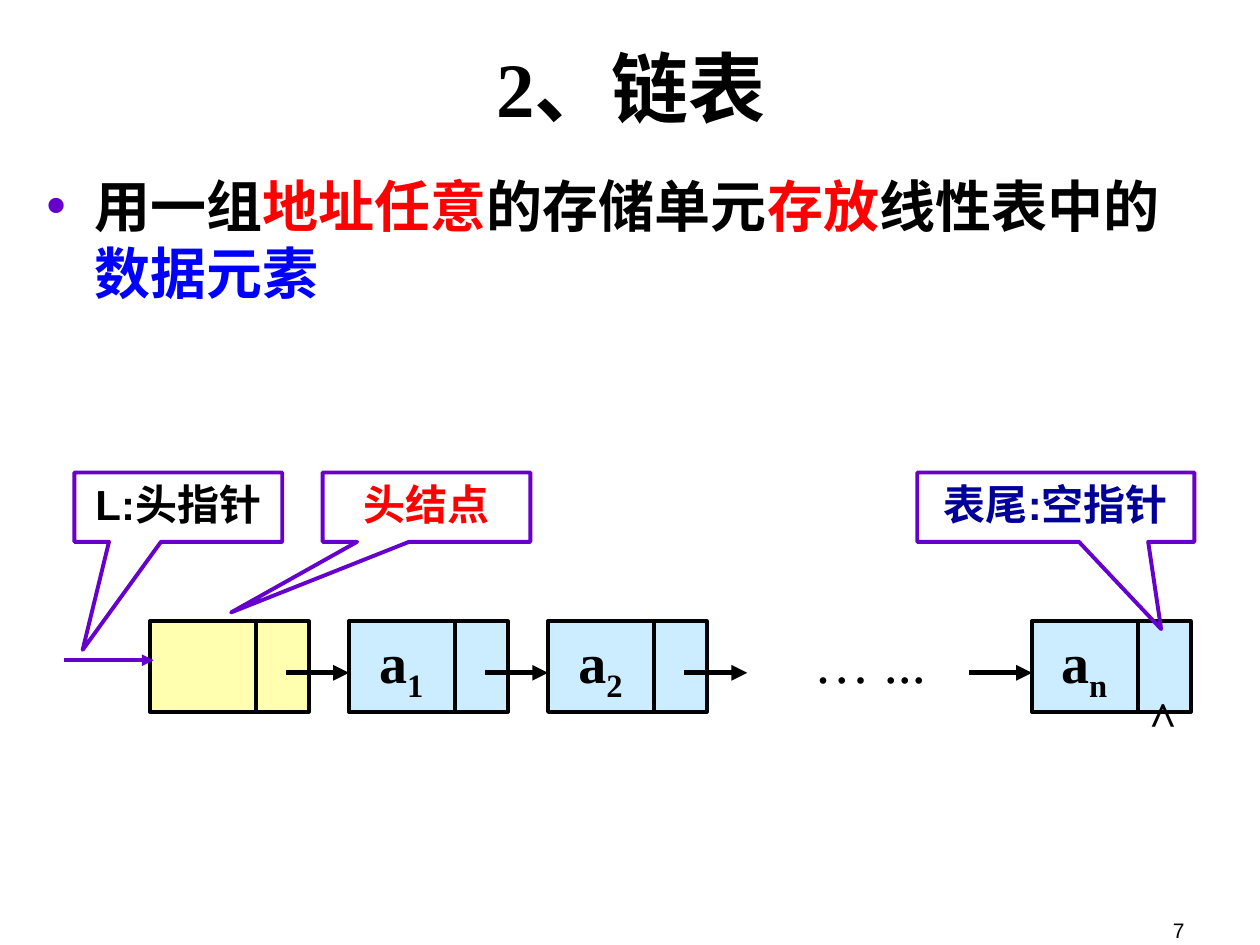
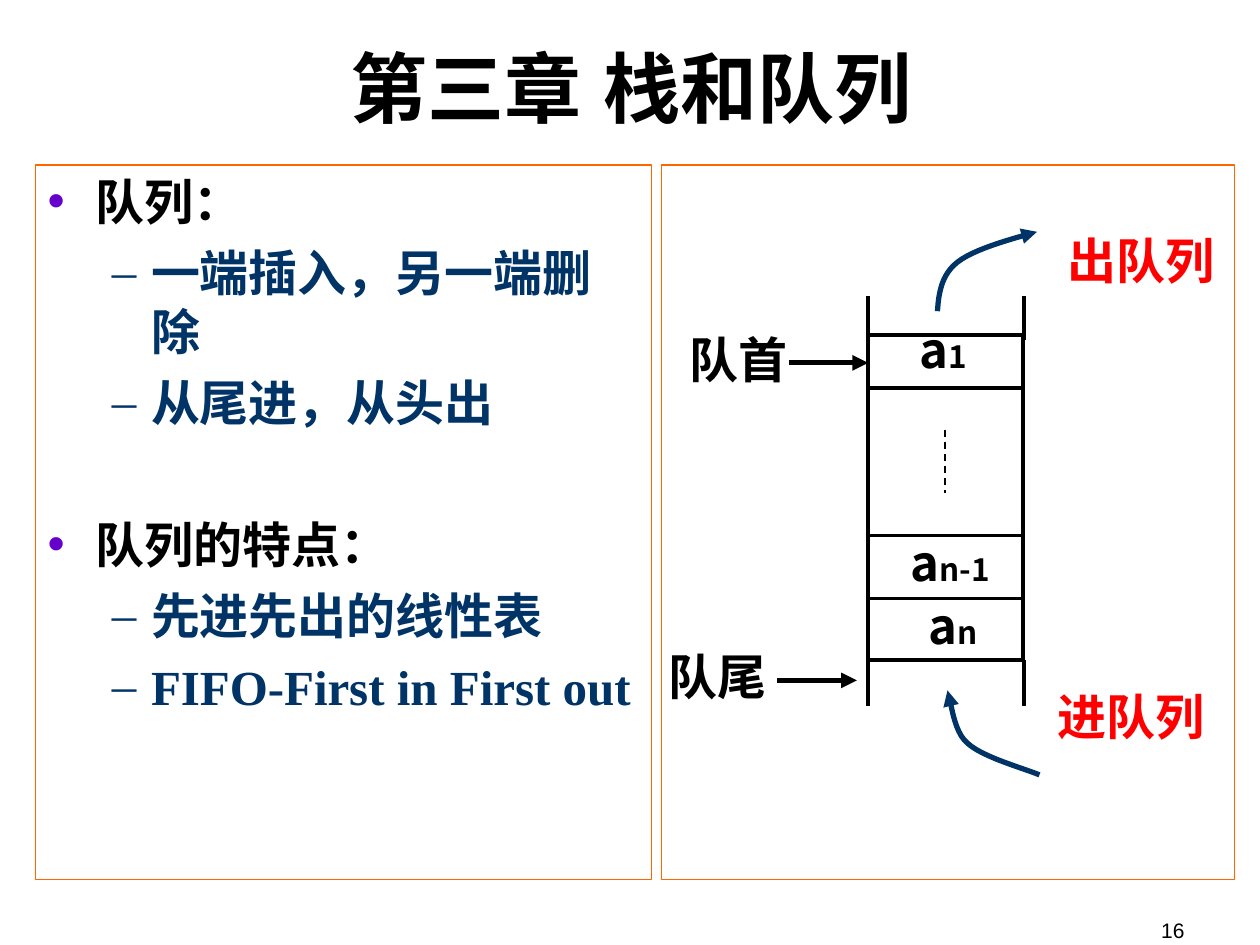
from pptx import Presentation
from pptx.dml.color import RGBColor
from pptx.enum import dml, shapes, text
from pptx.oxml import xmlchemy
from pptx.util import Inches, Pt

BLACK, RED, BLUE, NAVY = "000000", "FF0000", "0000FF", "003366"
PURPLE, ORANGE, DEEP_BLUE = "6600CC", "FF6600", "000099"
HEAD_FILL, NODE_FILL = "FFFFAF", "CCECFF"
SERIF, SANS, CJK = "Times New Roman", "Arial", "Noto Sans CJK SC"
EAST_ASIAN = {SERIF: SANS, SANS: SANS, CJK: CJK}
LEFT, CENTER, RIGHT = text.PP_ALIGN.LEFT, text.PP_ALIGN.CENTER, text.PP_ALIGN.RIGHT
TOP, MIDDLE, BOTTOM = text.MSO_ANCHOR.TOP, text.MSO_ANCHOR.MIDDLE, text.MSO_ANCHOR.BOTTOM
RECTANGLE = shapes.MSO_SHAPE.RECTANGLE
CALLOUT = shapes.MSO_SHAPE.RECTANGULAR_CALLOUT


def color(value):
    """Turn a hex string into a colour."""
    return RGBColor.from_string(value)


def add_element(parent, tag, **attributes):
    """Append a drawing element to its parent."""
    element = xmlchemy.OxmlElement(tag)
    for name, value in attributes.items():
        element.set(name, value)
    parent.append(element)
    return element


def add_run(paragraph, content, size, font=SERIF, ink=BLACK, bold=True, baseline=None):
    """Add one formatted run."""
    run = paragraph.add_run()
    run.text = content
    run.font.size, run.font.bold, run.font.name = Pt(size), bold, font
    run.font.color.rgb = color(ink)
    properties = run.font._element
    add_element(properties, "a:ea", typeface=EAST_ASIAN[font])
    if baseline:
        properties.set("baseline", str(baseline * 1000))


def set_frame(shape, anchor=TOP, wrap=True):
    """Prepare a text frame and return its first paragraph."""
    frame = shape.text_frame
    frame.word_wrap, frame.vertical_anchor = wrap, anchor
    frame.margin_left = frame.margin_right = Inches(0.1)
    frame.margin_top = frame.margin_bottom = Inches(0.05)
    return frame.paragraphs[0]


def add_text(slide, box, content, size, align=CENTER, anchor=TOP, wrap=True, **style):
    """Add a one-run text box and return its paragraph."""
    shape = slide.shapes.add_textbox(*map(Inches, box))
    paragraph = set_frame(shape, anchor, wrap)
    paragraph.alignment = align
    add_run(paragraph, content, size, **style)
    return paragraph


def add_box(slide, box, line, width=2.25, fill=None, kind=RECTANGLE):
    """Add an outlined shape, filled when a fill is given."""
    shape = slide.shapes.add_shape(kind, *map(Inches, box))
    shape.shadow.inherit = False
    shape.line.color.rgb, shape.line.width = color(line), Pt(width)
    if fill:
        shape.fill.solid()
        shape.fill.fore_color.rgb = color(fill)
    else:
        shape.fill.background()
    return shape


def add_arrowhead(line, end="tailEnd"):
    """Put a triangle at one end of a line."""
    add_element(line._get_or_add_ln(), f"a:{end}", type="triangle")


def add_line(slide, start, end, ink=BLACK, width=2.25, arrow=False, dash=None):
    """Add a straight line between two points."""
    connector = slide.shapes.add_connector(
        shapes.MSO_CONNECTOR.STRAIGHT, *map(Inches, (*start, *end)))
    connector.line.color.rgb, connector.line.width = color(ink), Pt(width)
    if dash:
        connector.line.dash_style = dash
    if arrow:
        add_arrowhead(connector.line)
    add_element(connector._element.spPr, "a:effectLst")


def bezier(points, steps=12):
    """Sample a chain of cubic curves."""
    samples = [points[0]]
    for first in range(0, len(points) - 1, 3):
        knots = points[first:first + 4]
        for step in range(1, steps + 1):
            t = step / steps
            weights = ((1 - t) ** 3, 3 * t * (1 - t) ** 2, 3 * t * t * (1 - t), t ** 3)
            samples.append(tuple(sum(w * knot[axis] for w, knot in zip(weights, knots))
                                 for axis in (0, 1)))
    return samples


def add_curve(slide, points, arrow_end):
    """Add a curved arrow through cubic control points."""
    start, *rest = [tuple(map(Inches, point)) for point in bezier(points)]
    builder = slide.shapes.build_freeform(*start)
    builder.add_line_segments(rest, close=False)
    curve = builder.convert_to_shape()
    curve.shadow.inherit = False
    curve.fill.background()
    curve.line.color.rgb, curve.line.width = color(NAVY), Pt(3)
    add_arrowhead(curve.line, arrow_end)


def set_bullet(paragraph, symbol, ink, margin, hanging):
    """Give a paragraph a coloured bullet and a hanging indent."""
    properties = paragraph._element.get_or_add_pPr()
    properties.set("marL", str(Inches(margin)))
    properties.set("indent", str(-Inches(hanging)))
    bullet_color = add_element(properties, "a:buClr")
    add_element(bullet_color, "a:srgbClr", val=ink)
    add_element(properties, "a:buFont", typeface=SANS if symbol == "•" else SERIF)
    add_element(properties, "a:buChar", char=symbol)


def add_base(presentation, title, number):
    """Add a slide with the shared title and page number."""
    slide = presentation.slides.add_slide(presentation.slide_layouts[6])
    add_text(slide, (7.17, 7.03, 2.33, 0.5), str(number), 12,
             align=RIGHT, anchor=BOTTOM, font=SANS, bold=False)
    add_text(slide, (0.51, 0.13, 9, 1.12), title, 44, anchor=MIDDLE)
    return slide


def add_definition(slide, box):
    """Add the bulleted definition of a linked list."""
    paragraph = set_frame(slide.shapes.add_textbox(*map(Inches, box)))
    set_bullet(paragraph, "•", PURPLE, 0.38, 0.38)
    for content, ink in (("用一组", BLACK), ("地址任意", RED), ("的存储单元", BLACK),
                         ("存放", RED), ("线性表中的", BLACK), ("数据元素", BLUE)):
        add_run(paragraph, content, 32, ink=ink)


def add_node(slide, left, top, label, fill=NODE_FILL):
    """Add a list node with a data cell and a pointer cell."""
    add_box(slide, (left, top, 1.26, 0.72), BLACK, fill=fill)
    add_line(slide, (left + 0.84, top), (left + 0.84, top + 0.71))
    if label:
        paragraph = add_text(slide, (left + 0.08, top, 0.67, 0.71), "a", 32)
        add_run(paragraph, label, 32, baseline=-25)


def add_chain(slide, left, top):
    """Add the chain of nodes with its pointers."""
    step, last = 1.58, left + 7
    add_node(slide, left, top, "", HEAD_FILL)
    add_node(slide, left + step, top, "1")
    add_node(slide, left + 2 * step, top, "2")
    add_node(slide, last, top, "n")
    for end in (*(left + step * index for index in (1, 2, 3)), last):
        add_line(slide, (end - 0.5, top + 0.41), (end, top + 0.41), width=3, arrow=True)
    add_text(slide, (left + 5.17, top, 1.09, 0.64), "… ...", 32, wrap=False, bold=False)
    add_text(slide, (last + 0.83, top + 0.03, 0.42, 1.01), "^", 48, baseline=-25)
    add_line(slide, (left - 0.68, top + 0.31), (left + 0.03, top + 0.31), PURPLE, arrow=True)


def add_callout(slide, left, width, content, ink, tip):
    """Add a labelled callout whose tip is relative to its centre."""
    shape = add_box(slide, (left, 3.75, width, 0.55), PURPLE, kind=CALLOUT)
    shape.adjustments[0], shape.adjustments[1] = tip
    paragraph = set_frame(shape)
    paragraph.alignment = CENTER
    add_run(paragraph, content, 24, font=SANS, ink=ink)


def build_linked_list(presentation):
    """Build the linked list slide."""
    slide = add_base(presentation, "2、链表", 7)
    add_definition(slide, (0.27, 1.31, 9.45, 5.67))
    add_chain(slide, 1.19, 4.93)
    add_callout(slide, 0.59, 1.65, "L:头指针", BLACK, (-0.46, 2.06))
    add_callout(slide, 7.28, 2.2, "表尾:空指针", DEEP_BLUE, (0.38, 1.76))
    add_callout(slide, 2.56, 1.65, "头结点", RED, (-0.94, 1.52))


def add_outline(slide, box):
    """Add the framed outline of queue properties."""
    frame_shape = add_box(slide, box, ORANGE, 0.75)
    paragraph = set_frame(frame_shape)
    topics = (("队列：", ("一端插入，另一端删除", "从尾进，从头出")),
              ("队列的特点：", ("先进先出的线性表", "FIFO-First in First out")))
    for index, (topic, points) in enumerate(topics):
        if index:
            paragraph = frame_shape.text_frame.add_paragraph()
            paragraph.space_before = Pt(47.5)
        paragraph.alignment = LEFT
        set_bullet(paragraph, "•", PURPLE, 0.38, 0.38)
        add_run(paragraph, topic, 28)
        for point in points:
            paragraph = frame_shape.text_frame.add_paragraph()
            paragraph.alignment, paragraph.level = LEFT, 1
            paragraph.space_before = Pt(7)
            set_bullet(paragraph, "–", NAVY, 0.82, 0.31)
            add_run(paragraph, point, 28, ink=NAVY)


def add_queue(slide, left, top):
    """Add the open-ended queue and its elements."""
    width, height = 1.23, 2.58
    right, bottom = left + width, top + height
    add_box(slide, (left, top, width, height), BLACK)
    for offset in (0.42, 1.59, 2.09):
        add_line(slide, (left, top + offset), (right, top + offset))
    for side in (left, right + 0.01):
        add_line(slide, (side, top - 0.31), (side, top + 0.04))
        add_line(slide, (side, bottom), (side, bottom + 0.36))
    add_line(slide, (left + 0.61, top + 0.75), (left + 0.61, top + 1.25), width=1,
             dash=dml.MSO_LINE.DASH)
    for index, x, y, label_width in (("1", 0.31, -0.17, 0.62), ("n-1", 0.24, 1.52, 0.96),
                                     ("n", 0.38, 2.02, 0.62)):
        paragraph = add_text(slide, (left + x, top + y, label_width, 0.57), "a", 28,
                             align=LEFT, font=CJK)
        add_run(paragraph, index, 18, font=CJK)


def add_end_label(slide, left, top, content, arrow_start):
    """Add a label with an arrow pointing at one end of the queue."""
    add_text(slide, (left, top, 1.35, 0.57), content, 28, align=RIGHT, font=CJK)
    x, y = arrow_start
    add_line(slide, (x, y), (x + 0.63, y), width=3, arrow=True)


def add_move(slide, left, top, content, points, arrow_end):
    """Add a red label and the curved arrow of its move."""
    add_text(slide, (left, top, 1.49, 0.57), content, 28, font=CJK, ink=RED)
    add_curve(slide, points, arrow_end)


def build_queue(presentation):
    """Build the queue slide."""
    slide = add_base(presentation, "第三章 栈和队列", 16)
    add_outline(slide, (0.28, 1.31, 4.89, 5.67))
    add_box(slide, (5.25, 1.31, 4.55, 5.67), ORANGE, 0.75)
    add_queue(slide, 6.89, 2.66)
    add_move(slide, 8.31, 1.78, "出队列",
             [(7.44, 2.47), (7.45, 2.33), (7.47, 2.18), (7.6, 2.08),
              (7.73, 1.98), (7.98, 1.91), (8.23, 1.84)], "tailEnd")
    add_move(slide, 8.23, 5.4, "进队列",
             [(7.52, 5.48), (7.55, 5.55), (7.56, 5.8), (7.68, 5.9),
              (7.8, 6.01), (8.13, 6.1), (8.25, 6.15)], "headEnd")
    add_end_label(slide, 5, 2.57, "队首", (6.26, 2.88))
    add_end_label(slide, 4.83, 5.08, "队尾", (6.17, 5.4))


def main():
    """Build and save the presentation."""
    presentation = Presentation()
    presentation.slide_width, presentation.slide_height = Inches(10), Inches(7.5)
    build_linked_list(presentation)
    build_queue(presentation)
    presentation.save("out.pptx")


if __name__ == "__main__":
    main()
